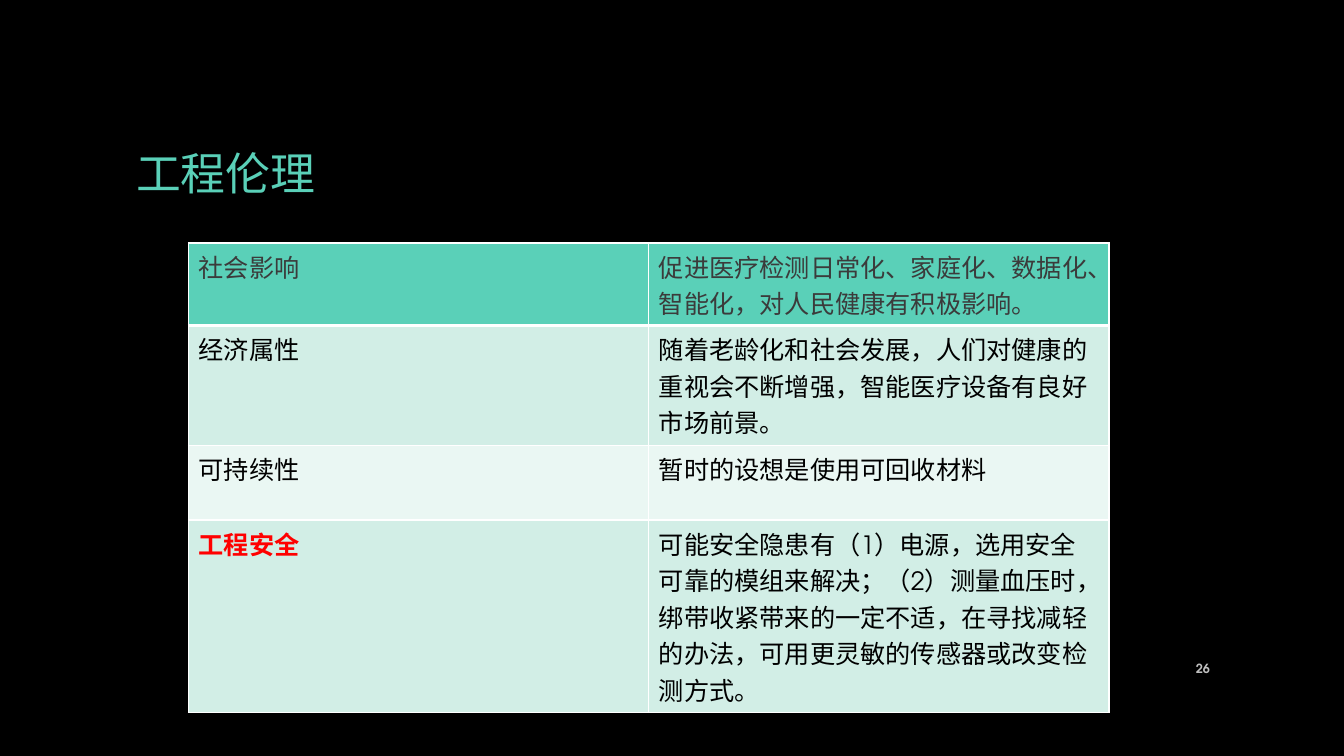
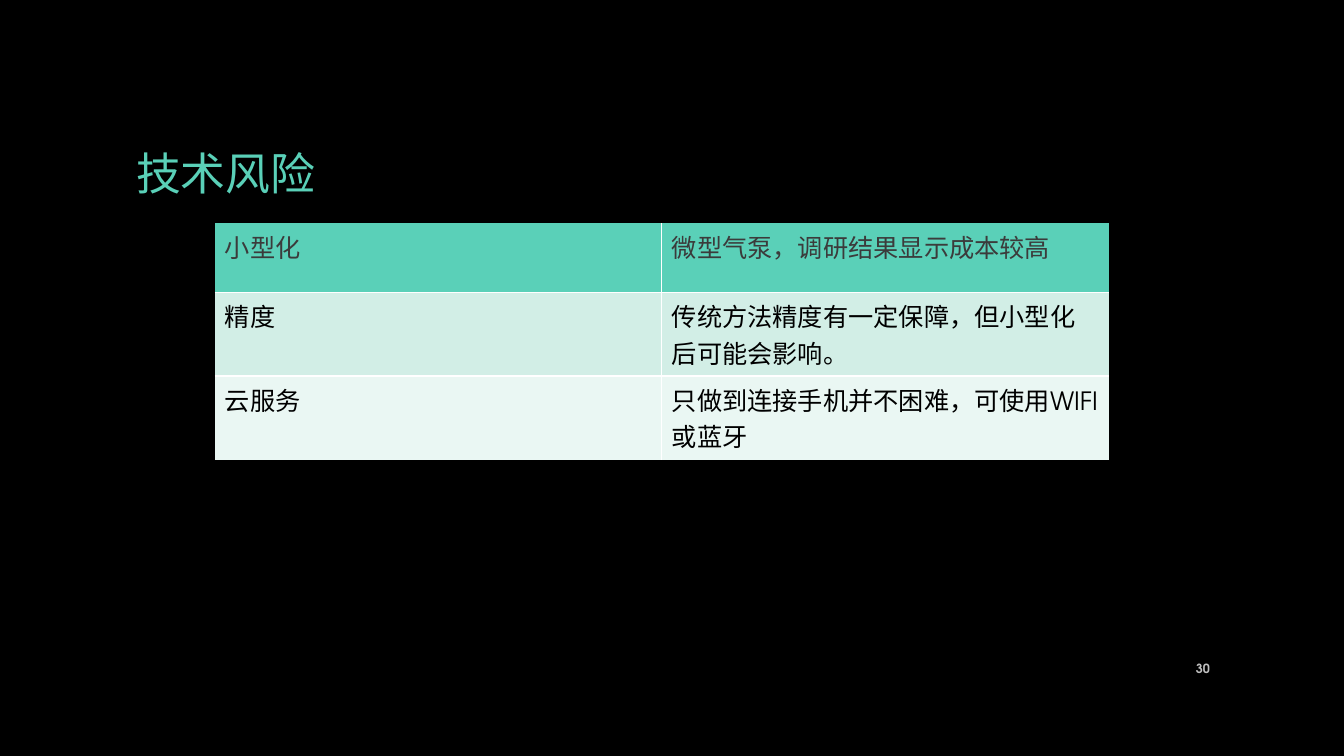
from lxml.etree import SubElement
from pptx import Presentation
from pptx.dml.color import RGBColor
from pptx.enum.text import MSO_ANCHOR, PP_ALIGN
from pptx.oxml.ns import qn
from pptx.util import Inches, Pt

FONT = "TeX Gyre Adventor"
BLACK, WHITE, RED = "000000", "FFFFFF", "FF0000"
MINT, HEADER_TEXT, NUMBER_GRAY = "5AD0B8", "3B3B3B", "BFBFBF"
BANDS = ("D2EEE6", "EAF7F3")
TITLE_ONLY = 5

# Each row: height in inches, topic, explanation
ETHICS = [
    (0.82, "社会影响", "促进医疗检测日常化、家庭化、数据化、智能化，对人民健康有积极影响。"),
    (1.19, "经济属性", "随着老龄化和社会发展，人们对健康的重视会不断增强，智能医疗设备有良好市场前景。"),
    (0.74, "可持续性", "暂时的设想是使用可回收材料"),
    (1.91, "工程安全", "可能安全隐患有（1）电源，选用安全可靠的模组来解决；（2）测量血压时，"
     "绑带收紧带来的一定不适，在寻找减轻的办法，可用更灵敏的传感器或改变检测方式。"),
]
RISKS = [
    (0.69, "小型化", "微型气泵，调研结果显示成本较高"),
    (0.83, "精度", "传统方法精度有一定保障，但小型化后可能会影响。"),
    (0.83, "云服务", "只做到连接手机并不困难，可使用WIFI或蓝牙"),
]


def rgb(value):
    return RGBColor.from_string(value)


def write(frame, text, size, color, bold=False, align=PP_ALIGN.LEFT):
    frame.word_wrap = True
    frame.text = text
    paragraph = frame.paragraphs[0]
    paragraph.alignment = align
    font = paragraph.font
    font.name, font.size, font.bold = FONT, Pt(size), bold
    font.color.rgb = rgb(color)


def set_borders(cell, **widths):
    """Draw white cell borders in points; a width of 0 hides the side."""
    properties = cell._tc.get_or_add_tcPr()
    for side in "LRTB":
        width = widths[side]
        line = SubElement(properties, qn(f"a:ln{side}"), w=str(Pt(width)))
        if width:
            fill = SubElement(line, qn("a:solidFill"))
            SubElement(fill, qn("a:srgbClr"), val=WHITE)
        else:
            SubElement(line, qn("a:noFill"))


def add_titled_slide(prs, title, number):
    slide = prs.slides.add_slide(prs.slide_layouts[TITLE_ONLY])
    heading = slide.shapes.title
    heading.left, heading.top = Inches(1.25), Inches(0.67)
    heading.width, heading.height = Inches(10.83), Inches(2.08)
    heading.text_frame.vertical_anchor = MSO_ANCHOR.MIDDLE
    write(heading.text_frame, title, 32, MINT)

    page = slide.shapes.add_textbox(Inches(11.5), Inches(6.43), Inches(0.6), Inches(0.4))
    page.text_frame.vertical_anchor = MSO_ANCHOR.MIDDLE
    write(page.text_frame, str(number), 9, NUMBER_GRAY, bold=True, align=PP_ALIGN.RIGHT)
    return slide


def add_topic_table(slide, topics, left, top, width,
                    outer=0, header_rule=1, warning=None):
    """Add a banded two-column table; the warning topic is bold red."""
    count = len(topics)
    total_height = sum(height for height, *_ in topics)
    table = slide.shapes.add_table(
        count, 2, Inches(left), Inches(top), Inches(width), Inches(total_height)
    ).table
    rules = [outer, header_rule] + [1] * (count - 2) + [outer]
    for row, (height, *texts) in enumerate(topics):
        table.rows[row].height = Inches(height)
        fill = BANDS[(row - 1) % 2] if row else MINT
        for column, text in enumerate(texts):
            cell = table.cell(row, column)
            set_borders(cell, L=1 if column else outer, R=outer if column else 1,
                        T=rules[row], B=rules[row + 1])
            cell.fill.solid()
            cell.fill.fore_color.rgb = rgb(fill)
            warned = text == warning
            color = RED if warned else BLACK if row else HEADER_TEXT
            write(cell.text_frame, text, 18, color, bold=warned)


def main():
    prs = Presentation()
    prs.slide_width, prs.slide_height = Inches(13.33), Inches(7.5)
    background = prs.slide_master.background.fill
    background.solid()
    background.fore_color.rgb = rgb(BLACK)

    ethics = add_titled_slide(prs, "工程伦理", 26)
    add_topic_table(ethics, ETHICS, 1.87, 2.41, 9.13,
                    outer=1, header_rule=3, warning="工程安全")

    risks = add_titled_slide(prs, "技术风险", 30)
    add_topic_table(risks, RISKS, 2.13, 2.21, 8.87)

    prs.save("out.pptx")


if __name__ == "__main__":
    main()
